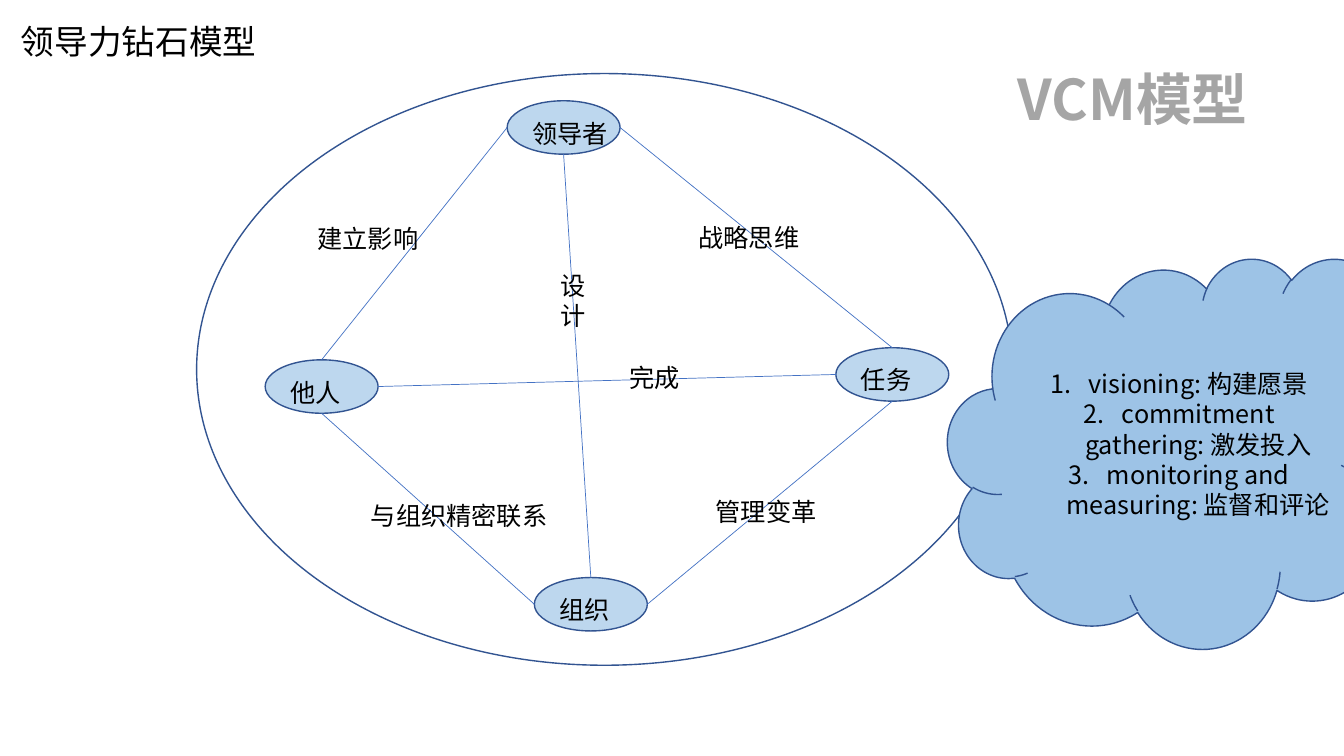
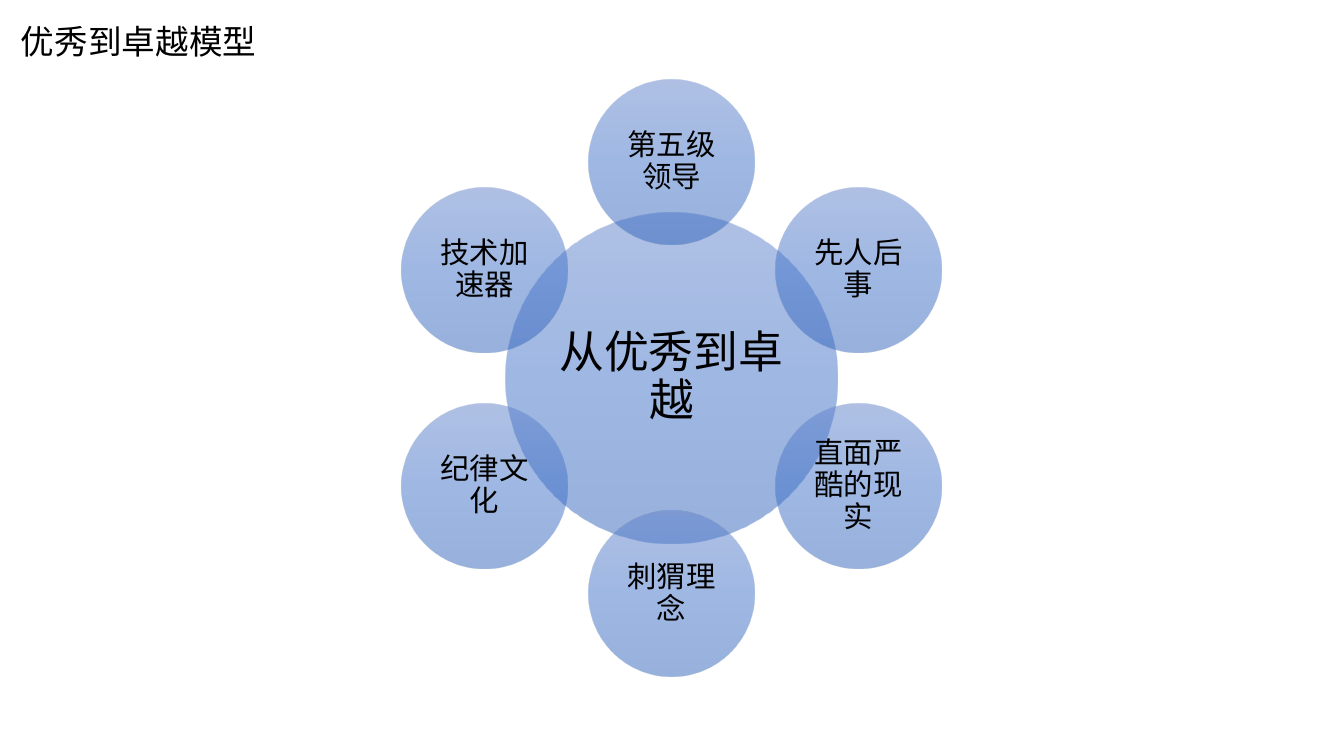
from dataclasses import dataclass
from math import cos, radians, sin

from pptx import Presentation
from pptx.dml.color import RGBColor
from pptx.enum.shapes import MSO_CONNECTOR as LINE, MSO_SHAPE as SHAPE
from pptx.enum.text import MSO_ANCHOR as ANCHOR, MSO_AUTO_SIZE as FIT, PP_ALIGN as ALIGN
from pptx.oxml.ns import qn
from pptx.util import Pt
from lxml.etree import SubElement

EMU_PER_PX = 9144


@dataclass(frozen=True)
class Theme:
    font: str = "Noto Sans CJK SC"
    ink: str = "000000"
    heading: str = "A5A5A5"
    outline: str = "325491"
    link: str = "4472C4"
    node: str = "BDD7EE"
    cloud: str = "9DC3E6"
    bubble: tuple = ((0, "6183CB"), (50, "3E70CA"), (100, "3062BB"))
    bubble_alpha: int = 50
    title: int = 24
    body: int = 18
    heading_size: int = 40
    hub: int = 32
    satellite: int = 21
    outline_width: float = 1
    link_width: float = 0.5


THEME = Theme()

NODES = {
    "领导者": (503, 100),
    "他人": (263, 357),
    "任务": (829, 345),
    "组织": (530, 573),
}
NODE_SIZE = (112, 53)
LINKS = [
    ("领导者", "right", "任务", "top"),
    ("领导者", "left", "他人", "top"),
    ("组织", "right", "任务", "bottom"),
    ("他人", "bottom", "组织", "left"),
    ("他人", "right", "任务", "left"),
    ("领导者", "bottom", "组织", "top"),
]
LABELS = [
    (["战略思维"], (683, 216, 121, 40)),
    (["管理变革"], (700, 487, 121, 40)),
    (["与组织精密联系"], (358, 491, 197, 40)),
    (["建立影响"], (305, 217, 121, 40)),
    (["完成"], (614, 355, 71, 40)),
    (["设", "计"], (546, 263, 45, 71)),
]
VCM_STEPS = [
    "visioning: 构建愿景",
    "commitment gathering: 激发投入",
    "monitoring and measuring: 监督和评论",
]
SATELLITES = ["第五级领导", "先人后事", "直面严酷的现实", "刺猬理念", "纪律文化", "技术加速器"]


def px(n):
    return round(n * EMU_PER_PX)


def apply(obj, formats):
    for name, value in formats.items():
        setattr(obj, name, value)


def number(p, indent):
    pPr = p._p.get_or_add_pPr()
    pPr.set("marL", str(px(indent)))
    pPr.set("indent", str(-px(indent)))
    SubElement(pPr, qn("a:buFont"), typeface="+mj-lt")
    SubElement(pPr, qn("a:buAutoNum"), type="arabicPeriod")


def write(tf, lines, size, color=THEME.ink, bold=False, paragraph=None, numbered=False):
    for i, line in enumerate(lines):
        p = tf.paragraphs[0] if i == 0 else tf.add_paragraph()
        apply(p, paragraph or {})
        if numbered:
            number(p, 38)
        r = p.add_run()
        r.text = line
        apply(r.font, {"name": THEME.font, "size": Pt(size), "bold": bold})
        r.font.color.rgb = RGBColor.from_string(color)
        SubElement(r.font._element, qn("a:ea"), typeface=THEME.font)


def add_text(slide, box, lines, size, frame=None, **style):
    tf = slide.shapes.add_textbox(*map(px, box)).text_frame
    apply(tf, {"word_wrap": True, **(frame or {})})
    write(tf, lines, size, **style)


def add_title(slide, text):
    add_text(slide, (11, 4, 1158, 79), [text], THEME.title,
             {"vertical_anchor": ANCHOR.MIDDLE}, paragraph={"line_spacing": 0.9})


def add_outlined(slide, kind, box, fill=None):
    sp = slide.shapes.add_shape(kind, *map(px, box))
    sp.shadow.inherit = False
    if fill:
        sp.fill.solid()
        sp.fill.fore_color.rgb = RGBColor.from_string(fill)
    else:
        sp.fill.background()
    sp.line.color.rgb = RGBColor.from_string(THEME.outline)
    sp.line.width = Pt(THEME.outline_width)
    return sp


def add_node(slide, name):
    left, top = NODES[name]
    add_outlined(slide, SHAPE.OVAL, (left, top, *NODE_SIZE), THEME.node)
    add_text(slide, (left + 15, top + 12, 96, 40), [name], THEME.body,
             {"auto_size": FIT.SHAPE_TO_FIT_TEXT})


def side_point(name, side):
    left, top = NODES[name]
    w, h = NODE_SIZE
    dx, dy = {"top": (w / 2, 0), "left": (0, h / 2),
              "bottom": (w / 2, h), "right": (w, h / 2)}[side]
    return px(left + dx), px(top + dy)


def add_link(slide, start, start_side, end, end_side):
    cxn = slide.shapes.add_connector(
        LINE.STRAIGHT, *side_point(start, start_side), *side_point(end, end_side))
    cxn.line.color.rgb = RGBColor.from_string(THEME.link)
    cxn.line.width = Pt(THEME.link_width)
    SubElement(cxn._element.spPr, qn("a:effectLst"))


def fill_bubble(sp):
    sp.fill.gradient()
    sp.fill.gradient_angle = 270
    stops = sp._element.spPr.find(qn("a:gradFill")).find(qn("a:gsLst"))
    for stop in list(stops):
        stops.remove(stop)
    for pos, color in THEME.bubble:
        gs = SubElement(stops, qn("a:gs"), pos=str(pos * 1000))
        clr = SubElement(gs, qn("a:srgbClr"), val=color)
        SubElement(clr, qn("a:alpha"), val=str(THEME.bubble_alpha * 1000))


def add_bubble(slide, cx, cy, diameter, text, size, inset):
    left, top = cx - diameter / 2, cy - diameter / 2
    sp = slide.shapes.add_shape(SHAPE.OVAL, *map(px, (left, top, diameter, diameter)))
    sp.shadow.inherit = False
    fill_bubble(sp)
    sp.line.fill.background()
    tf = sp.text_frame
    apply(tf, {"word_wrap": True, "vertical_anchor": ANCHOR.MIDDLE})
    apply(tf, {f"margin_{side}": px(inset) for side in ("left", "top", "right", "bottom")})
    write(tf, [text], size, paragraph={"alignment": ALIGN.CENTER, "line_spacing": 0.9})


def build_diamond(slide):
    add_outlined(slide, SHAPE.OVAL, (195, 73, 809, 587))
    for name in NODES:
        add_node(slide, name)
    for link in LINKS:
        add_link(slide, *link)
    for lines, box in LABELS:
        add_text(slide, box, lines, THEME.body,
                 {"word_wrap": False, "auto_size": FIT.SHAPE_TO_FIT_TEXT})
    add_title(slide, "领导力钻石模型")
    centered = {"alignment": ALIGN.CENTER}
    add_text(slide, (953, 59, 341, 77), ["VCM模型"], THEME.heading_size,
             {"auto_size": FIT.SHAPE_TO_FIT_TEXT},
             color=THEME.heading, bold=True, paragraph=centered)
    cloud = add_outlined(slide, SHAPE.CLOUD, (940, 256, 494, 387), THEME.cloud)
    apply(cloud.text_frame, {"word_wrap": True, "vertical_anchor": ANCHOR.MIDDLE})
    write(cloud.text_frame, VCM_STEPS, THEME.body, paragraph=centered, numbered=True)


def build_great(slide):
    add_title(slide, "优秀到卓越模型")
    cx, cy, ring = 666, 375, 214
    add_bubble(slide, cx, cy, 329, "从优秀到卓越", THEME.hub, 4)
    for i, text in enumerate(SATELLITES):
        angle = radians(i * 360 / len(SATELLITES))
        add_bubble(slide, cx + ring * sin(angle), cy - ring * cos(angle), 164,
                   text, THEME.satellite, 3)


def main():
    prs = Presentation()
    prs.slide_width, prs.slide_height = px(1333), px(750)
    for build in (build_diamond, build_great):
        build(prs.slides.add_slide(prs.slide_layouts[6]))
    prs.save("out.pptx")


if __name__ == "__main__":
    main()
